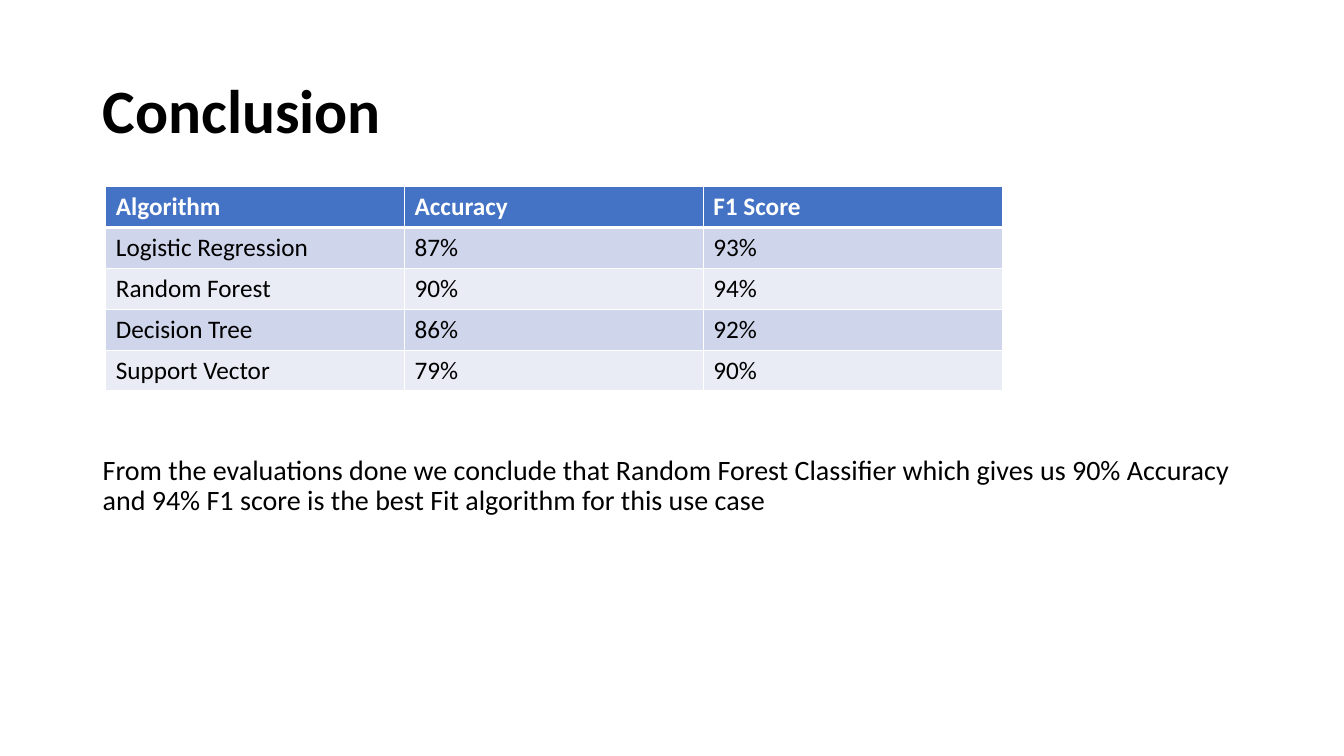
from dataclasses import dataclass
from lxml.etree import SubElement
from pptx import Presentation
from pptx.dml.color import RGBColor as RGB
from pptx.enum.text import MSO_ANCHOR as Anchor
from pptx.oxml.ns import qn
from pptx.util import Inches, Pt


@dataclass(frozen=True)
class Theme:
    font: str = "Calibri"
    ink: str = "000000"
    white: str = "FFFFFF"
    head: str = "4472C4"
    bands: tuple = ("CFD5EA", "E9EBF5")
    title: int = 44
    body: int = 20
    cell: int = 18
    thin: int = 1
    thick: int = 3


def write(frame, text, size, color, font, bold=False, space=None):
    """Fill a text frame with one formatted paragraph."""
    par = frame.paragraphs[0]
    par.line_spacing = space
    run = par.add_run()
    run.text = text
    run.font.name = font
    run.font.size = Pt(size)
    run.font.bold = bold
    run.font.color.rgb = RGB.from_string(color)


def edge(cell, side, width, color):
    """Draw one border of a table cell."""
    line = SubElement(cell._tc.get_or_add_tcPr(), qn(f"a:ln{side}"),
                      w=str(Pt(width)))
    fill = SubElement(line, qn("a:solidFill"))
    SubElement(fill, qn("a:srgbClr"), val=color)


class Page:
    def __init__(self, slide, theme):
        self.slide = slide
        self.theme = theme

    def text(self, text, left, top, width, height, size,
             bold=False, anchor=Anchor.TOP):
        box = self.slide.shapes.add_textbox(
            Inches(left), Inches(top), Inches(width), Inches(height))
        frame = box.text_frame
        frame.word_wrap = True
        frame.vertical_anchor = anchor
        write(frame, text, size, self.theme.ink, self.theme.font,
              bold=bold, space=0.9)

    def table(self, rows, left, top, width, height):
        grid = self.slide.shapes.add_table(
            len(rows), len(rows[0]), Inches(left), Inches(top),
            Inches(width), Inches(height)).table
        for r, row in enumerate(rows):
            for c, text in enumerate(row):
                self.cell(grid.cell(r, c), text, r)

    def cell(self, cell, text, row):
        look = self.theme
        head = row == 0
        write(cell.text_frame, text, look.cell,
              look.white if head else look.ink, look.font, bold=head)
        # Borders come before the fill in the cell properties
        for side in "LRTB":
            heavy = (side == "B" and row == 0) or (side == "T" and row == 1)
            edge(cell, side, look.thick if heavy else look.thin, look.white)
        cell.fill.solid()
        shade = look.head if head else look.bands[(row - 1) % 2]
        cell.fill.fore_color.rgb = RGB.from_string(shade)


# Slide
deck = Presentation()
deck.slide_width, deck.slide_height = Inches(13.33), Inches(7.5)
theme = Theme()
page = Page(deck.slides.add_slide(deck.slide_layouts[6]), theme)

# Title
page.text("Conclusion", 0.92, 0.4, 11.5, 1.45, theme.title,
          bold=True, anchor=Anchor.MIDDLE)

# Scores of each algorithm
scores = [
    ("Algorithm", "Accuracy", "F1 Score"),
    ("Logistic Regression", "87%", "93%"),
    ("Random Forest", "90%", "94%"),
    ("Decision Tree", "86%", "92%"),
    ("Support Vector", "79%", "90%"),
]
page.table(scores, 1.05, 1.85, 8.89, 2.03)

# Finding
page.text("From the evaluations done we conclude that Random Forest "
          "Classifier which gives us 90% Accuracy and 94% F1 score is the "
          "best Fit algorithm for this use case",
          0.92, 4.48, 11.5, 2.04, theme.body)

deck.save("out.pptx")
